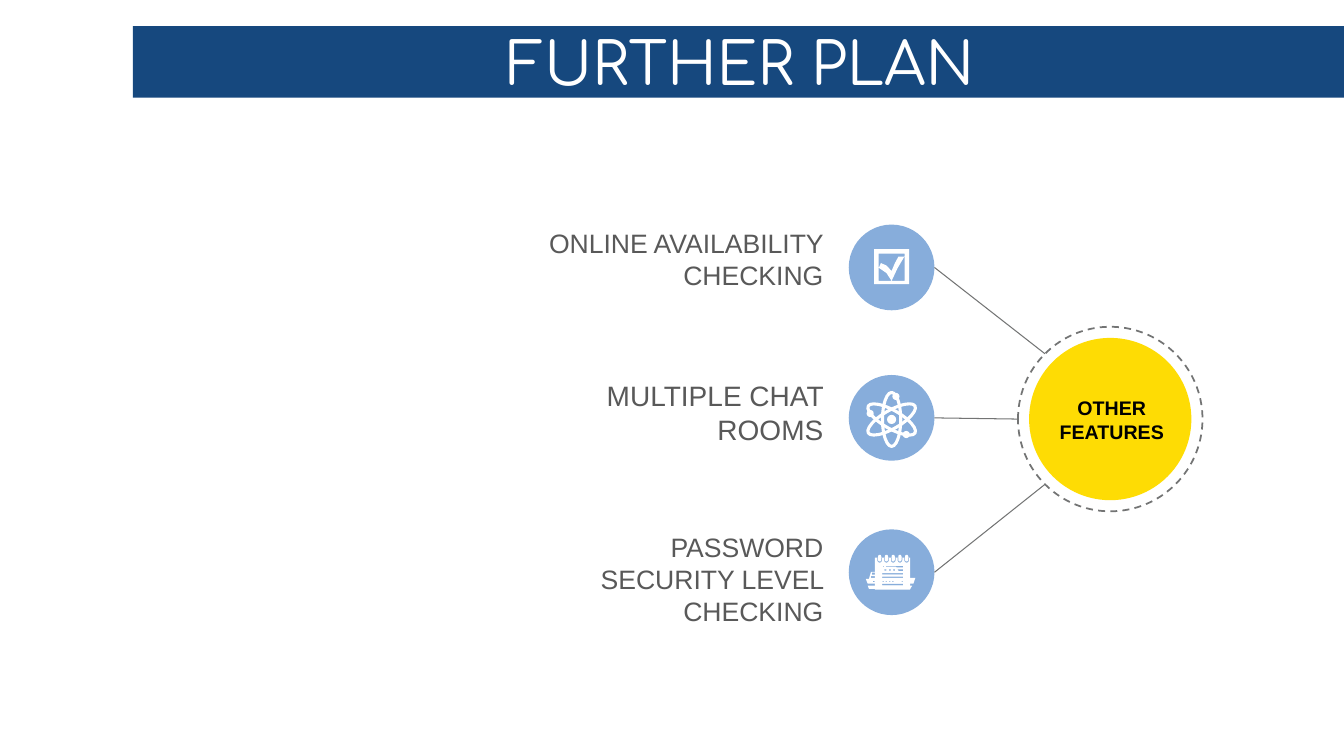
import math
from dataclasses import dataclass
from typing import Callable

from lxml import etree
from pptx import Presentation
from pptx import util as u
from pptx.dml.color import RGBColor
from pptx.enum import dml, shapes, text
from pptx.oxml.ns import qn

COLORS = {
    "band": "16487E", "disc": "87ADDB", "hub": "FEDC04", "line": "737474",
    "label": "595959", "white": "FFFFFF", "black": "000000",
}
Contour = list[tuple[float, float]]

DISC_LEFT, DISC_SIZE = 21.39, 2.16
HUB_X, HUB_Y, HUB_SIZE, RING_SIZE = 27.98, 10.56, 4.09, 4.65


def color(name: str) -> RGBColor:
    return RGBColor.from_string(COLORS[name])


# Basic shapes
def draw_shape(page, kind, left: float, top: float, width: float, height: float,
               fill: str | None = None, line: str | None = None, weight: float = 1):
    shape = page.shapes.add_shape(kind, u.Cm(left), u.Cm(top), u.Cm(width), u.Cm(height))
    paint(shape, fill, line, weight)
    return shape


def paint(shape, fill: str | None, line: str | None = None, weight: float = 1) -> None:
    shape.shadow.inherit = False
    if fill:
        shape.fill.solid()
        shape.fill.fore_color.rgb = color(fill)
    else:
        shape.fill.background()
    if line:
        shape.line.color.rgb = color(line)
        shape.line.width = u.Pt(weight)
    else:
        shape.line.fill.background()


def draw_circle(page, x: float, y: float, size: float, fill: str | None = None,
                line: str | None = None, weight: float = 1):
    return draw_shape(page, shapes.MSO_SHAPE.OVAL, x - size / 2, y - size / 2,
                      size, size, fill, line, weight)


def draw_line(page, x1: float, y1: float, x2: float, y2: float) -> None:
    connector = page.shapes.add_connector(
        shapes.MSO_CONNECTOR.STRAIGHT, u.Cm(x1), u.Cm(y1), u.Cm(x2), u.Cm(y2))
    connector.line.color.rgb = color("line")
    connector.line.width = u.Pt(0.75)
    etree.SubElement(connector.element.spPr, qn("a:effectLst"))


# Text
def write(box, lines: list[str], align, size: float, shade: str,
          font: str = "Arial", bold: bool = False) -> None:
    frame = box.text_frame
    frame.word_wrap = True
    frame.auto_size = text.MSO_AUTO_SIZE.SHAPE_TO_FIT_TEXT
    for index, line in enumerate(lines):
        para = frame.add_paragraph() if index else frame.paragraphs[0]
        para.alignment = align
        span = para.add_run()
        span.text = line
        span.font.name = font
        span.font.size = u.Pt(size)
        span.font.bold = bold
        span.font.color.rgb = color(shade)


def draw_text(page, left: float, top: float, width: float, height: float,
              lines: list[str], align, size: float, shade: str, bold: bool = False) -> None:
    box = page.shapes.add_textbox(u.Cm(left), u.Cm(top), u.Cm(width), u.Cm(height))
    write(box, lines, align, size, shade, bold=bold)


# Outlines, in cm from the middle of a disc; overlapping contours cut holes
def rectangle(left: float, top: float, width: float, height: float) -> Contour:
    right, bottom = left + width, top + height
    return [(left, top), (right, top), (right, bottom), (left, bottom)]


def arc(x: float, y: float, radius: float, start: int) -> Contour:
    angles = [math.radians(start + step) for step in range(0, 181, 30)]
    return [(x + radius * math.cos(a), y + radius * math.sin(a)) for a in angles]


def draw_outline(page, x: float, y: float, contours: list[Contour]) -> None:
    def place(point: tuple[float, float]) -> tuple[int, int]:
        return u.Cm(x + point[0]), u.Cm(y + point[1])

    builder = page.shapes.build_freeform(*place(contours[0][0]))
    for index, contour in enumerate(contours):
        if index:
            builder.move_to(*place(contour[0]))
        builder.add_line_segments([place(point) for point in contour[1:]], close=True)
    paint(builder.convert_to_shape(), "white")


# Icons
def draw_checkbox(page, x: float, y: float) -> None:
    tick = [(-0.32, 0.01), (-0.27, -0.11), (-0.13, -0.05), (0, 0.09), (0.08, -0.1),
            (0.17, -0.27), (0.32, -0.27), (0.15, 0.02), (0, 0.34), (-0.13, 0.14)]
    draw_outline(page, x, y, [rectangle(-0.44, -0.46, 0.88, 0.88),
                              rectangle(-0.33, -0.35, 0.66, 0.69), tick])


def draw_atom(page, x: float, y: float) -> None:
    y += 0.04
    width, height = 0.46, 1.36
    for angle in (0, 60, 120):
        orbit = draw_shape(page, shapes.MSO_SHAPE.OVAL, x - width / 2, y - height / 2,
                           width, height, line="white", weight=2.2)
        orbit.rotation = angle
    draw_circle(page, x, y, 0.23, "white")
    for dx, dy in ((0.11, -0.58), (-0.54, -0.15), (0.37, 0.38)):
        draw_circle(page, x + dx, y + dy, 0.18, "white")


def draw_notepad_and_ship(page, x: float, y: float) -> None:
    pad = [rectangle(-0.42, -0.37, 0.89, 0.81)]
    pad += [rectangle(-0.24, -0.16 + 0.09 * row, 0.53, 0.04) for row in range(6)]
    for ring in range(5):
        middle = -0.3 + 0.17 * ring
        pad.append([(middle + 0.06, -0.37), *arc(middle, -0.3, 0.06, 0), (middle - 0.06, -0.37)])
        pad.append(arc(middle, -0.31, 0.04, 0) + arc(middle, -0.4, 0.04, 180))
    draw_outline(page, x, y, pad)

    hull = [(-0.57, 0.17), (-0.52, -0.01), (-0.37, -0.01), (-0.34, -0.14), (-0.29, -0.14),
            (-0.27, -0.22), (-0.24, -0.22), (-0.22, -0.14), (-0.19, -0.14), (-0.19, -0.22),
            (-0.17, -0.22), (-0.14, -0.14), (0.11, -0.14), (0.19, -0.01), (0.29, -0.01),
            (0.42, 0.14), (0.6, 0.14), (0.55, 0.29), (-0.6, 0.29), (-0.65, 0.17)]
    keel = [(-0.6, 0.34), (0.52, 0.34), (0.47, 0.42), (-0.57, 0.42)]
    stripes = [rectangle(-0.5, 0.01, 0.81, 0.05), rectangle(-0.52, 0.1, 0.87, 0.04)]
    portholes = [rectangle(-0.47 + 0.08 * i, 0.22, 0.04, 0.03)
                 for i in range(12) if i not in (7, 8)]
    windows = [rectangle(-0.29 + 0.11 * i, -0.09, 0.05, 0.05) for i in range(4)]
    draw_outline(page, x, y, [hull, keel, *stripes, *portholes, *windows])


@dataclass
class Feature:
    label: str
    size: float
    label_top: float
    label_height: float
    disc_top: float
    ring_angle: int
    icon: Callable


FEATURES = [
    Feature("ONLINE AVAILABILITY CHECKING", 19, 5.59, 1.88, 5.66, 225, draw_checkbox),
    Feature("MULTIPLE CHAT ROOMS", 20, 9.42, 1.96, 9.45, 180, draw_atom),
    Feature("PASSWORD SECURITY LEVEL CHECKING", 19, 13.26, 2.69, 13.34, 135,
            draw_notepad_and_ship),
]


def draw_feature(page, feature: Feature) -> None:
    draw_text(page, 13.41, feature.label_top, 7.59, feature.label_height,
              [feature.label], text.PP_ALIGN.RIGHT, feature.size, "label")
    x, y = DISC_LEFT + DISC_SIZE / 2, feature.disc_top + DISC_SIZE / 2
    draw_circle(page, x, y, DISC_SIZE, "disc")
    angle = math.radians(feature.ring_angle)
    draw_line(page, DISC_LEFT + DISC_SIZE, y, HUB_X + RING_SIZE / 2 * math.cos(angle),
              HUB_Y + RING_SIZE / 2 * math.sin(angle))
    feature.icon(page, x, y)


def main() -> None:
    deck = Presentation()
    deck.slide_width, deck.slide_height = u.Cm(33.87), u.Cm(19.05)
    page = deck.slides.add_slide(deck.slide_layouts[6])

    # Title band
    band = draw_shape(page, shapes.MSO_SHAPE.RECTANGLE, 3.35, 0.66, 30.63, 1.8, "band")
    frame = band.text_frame
    frame.margin_left = frame.margin_right = u.Cm(0.1)
    frame.margin_top = frame.margin_bottom = 0
    write(band, ["FURTHER PLAN"], text.PP_ALIGN.CENTER, 42, "white", "Comfortaa")

    # Hub
    draw_circle(page, HUB_X, HUB_Y, HUB_SIZE, "hub")
    ring = draw_circle(page, HUB_X, HUB_Y, RING_SIZE, line="line", weight=1.25)
    ring.line.dash_style = dml.MSO_LINE.DASH
    draw_text(page, 26.04, 9.86, 3.96, 1.45, ["OTHER", "FEATURES"],
              text.PP_ALIGN.CENTER, 14, "black", bold=True)

    # Features
    for feature in FEATURES:
        draw_feature(page, feature)

    deck.save("out.pptx")


if __name__ == "__main__":
    main()
